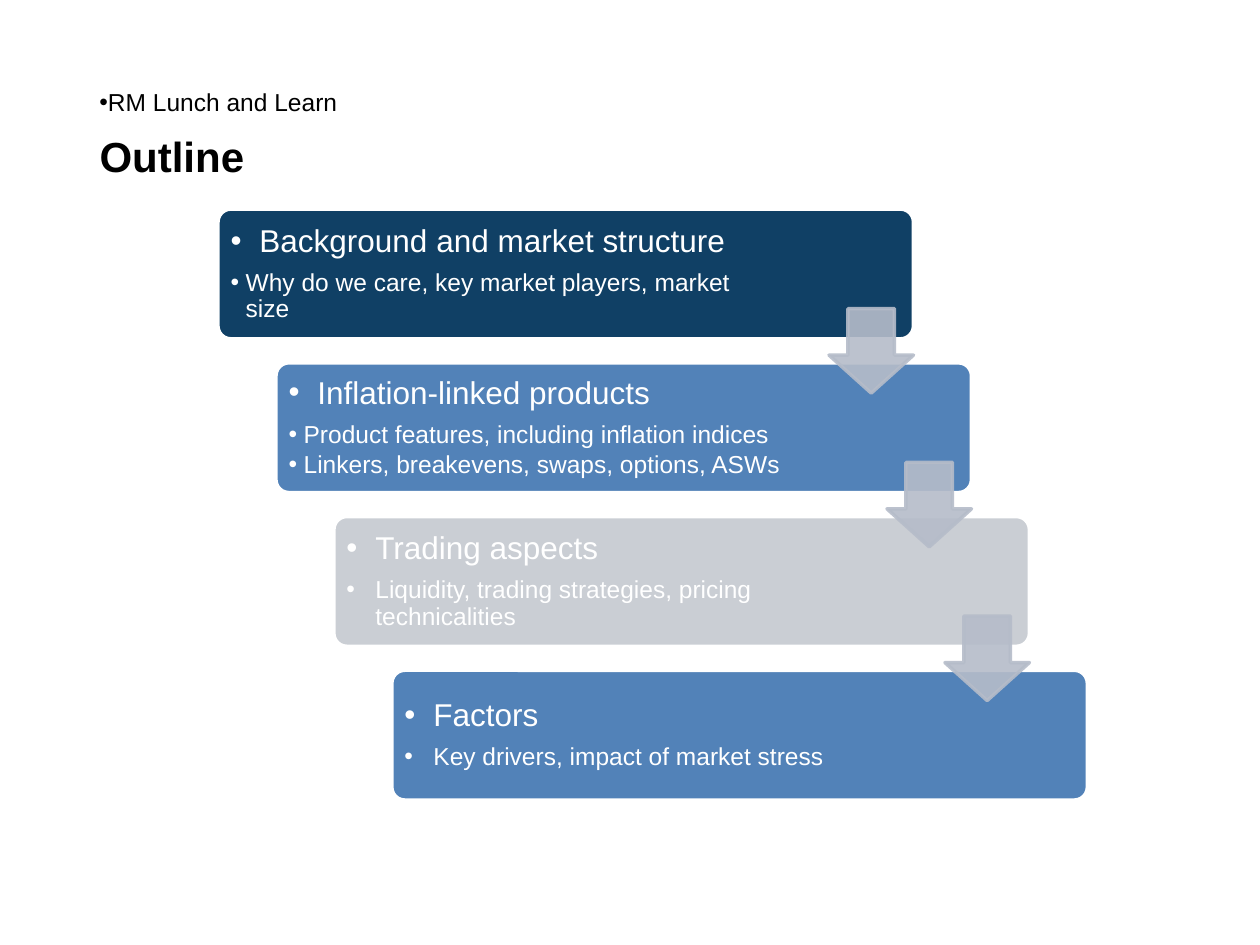
from lxml import etree
from pptx import Presentation
from pptx.dml.color import RGBColor
from pptx.enum.shapes import MSO_SHAPE
from pptx.enum.text import MSO_ANCHOR, PP_ALIGN
from pptx.oxml.ns import qn
from pptx.util import Inches, Pt

BOX = MSO_SHAPE.ROUNDED_RECTANGLE
ARROW = MSO_SHAPE.DOWN_ARROW
MIDDLE = MSO_ANCHOR.MIDDLE
TOP = MSO_ANCHOR.TOP
LEFT = PP_ALIGN.LEFT

WHITE, BLACK, GREY = "FFFFFF", "000000", "B5BCC9"
START = (1.73, 1.66)
STEP = (0.46, 1.22)
WIDE, HIGH, ARM = 5.52, 1.03, 0.67
INSET = 0.03
HEAD = {"size": 18, "gap": 0.35, "hang": 0.23}
ITEM = {"size": 14, "gap": 0.15, "hang": 0.12, "level": 1}
LONG = {"size": 14, "gap": 0.35, "hang": 0.23}

STAGES = [
    ("104065", "Background and market structure", ITEM,
     ["Why do we care, key market players, market size"]),
    ("5282B8", "Inflation-linked products", ITEM,
     ["Product features, including inflation indices",
      "Linkers, breakevens, swaps, options, ASWs"]),
    ("CACED4", "Trading aspects", LONG,
     ["Liquidity, trading strategies, pricing technicalities"]),
    ("5282B8", "Factors", LONG,
     ["Key drivers, impact of market stress"]),
]


def color(code):
    return RGBColor.from_string(code)


def apply(item, values):
    for name, value in values.items():
        setattr(item, name, value)


def place(item, *area):
    apply(item, dict(zip(("left", "top", "width", "height"), map(Inches, area))))


def write(para, text, size, tint, bold=False):
    run = para.add_run()
    run.text = text
    apply(run.font, {"name": "Arial", "size": Pt(size), "bold": bold})
    run.font.color.rgb = color(tint)


def bullet(para, hang):
    props = para._p.get_or_add_pPr()
    props.set("marL", str(Inches(hang)))
    props.set("indent", str(-Inches(hang)))
    etree.SubElement(props, qn("a:buFont")).set("typeface", "Arial")
    etree.SubElement(props, qn("a:buChar")).set("char", "•")


def frame(slide, area, anchor, pad=None):
    body = slide.shapes.add_textbox(*map(Inches, area)).text_frame
    apply(body, {"word_wrap": True, "vertical_anchor": anchor})
    if pad is not None:
        sides = ("margin_left", "margin_right", "margin_top", "margin_bottom")
        apply(body, dict.fromkeys(sides, Inches(pad)))
    return body


def shape(slide, kind, area, fill, line, bends, alpha=None):
    form = slide.shapes.add_shape(kind, *map(Inches, area))
    form.shadow.inherit = False
    form.fill.solid()
    form.fill.fore_color.rgb = color(fill)
    form.line.color.rgb = color(line)
    form.line.width = Pt(2)
    for index, bend in enumerate(bends):
        form.adjustments[index] = bend
    if alpha:
        for node in form._element.spPr.iter(qn("a:srgbClr")):
            etree.SubElement(node, qn("a:alpha")).set("val", str(alpha * 1000))


def header(slide):
    title = slide.shapes.title
    place(title, 0.69, 0.96, 8.61, 0.55)
    apply(title.text_frame, {"vertical_anchor": MIDDLE, "word_wrap": True})
    para = title.text_frame.paragraphs[0]
    para.alignment = LEFT
    write(para, "Outline", 24, BLACK, True)
    para = frame(slide, (0.69, 0.64, 8.61, 0.36), TOP).paragraphs[0]
    bullet(para, 0)
    write(para, "RM Lunch and Learn", 14, BLACK)


def spot(index):
    return [start + index * step for start, step in zip(START, STEP)]


def stage(slide, index, fill, head, style, items):
    left, top = spot(index)
    shape(slide, BOX, (left, top, WIDE, HIGH), fill, WHITE, [0.1])
    area = (left + INSET, top + INSET, 4.33, HIGH - 2 * INSET)
    body = frame(slide, area, MIDDLE, 0.07)
    rows = [(head, HEAD)] + [(item, style) for item in items]
    for order, (text, form) in enumerate(rows):
        para = body.add_paragraph() if order else body.paragraphs[0]
        apply(para, {
            "level": form.get("level", 0),
            "line_spacing": 0.9,
            "space_after": Pt(form["size"] * form["gap"]),
        })
        bullet(para, form["hang"])
        write(para, text, form["size"], WHITE)


def arrow(slide, index):
    left, top = spot(index)
    area = (left + WIDE - ARM, top + 0.79, ARM, ARM)
    shape(slide, ARROW, area, GREY, GREY, [0.55, 0.45], 90)


def main():
    deck = Presentation()
    apply(deck, {"slide_width": Inches(10), "slide_height": Inches(7.5)})
    slide = deck.slides.add_slide(deck.slide_layouts[5])
    header(slide)
    for index, parts in enumerate(STAGES):
        stage(slide, index, *parts)
    for index in range(len(STAGES) - 1):
        arrow(slide, index)
    deck.save("out.pptx")


if __name__ == "__main__":
    main()
